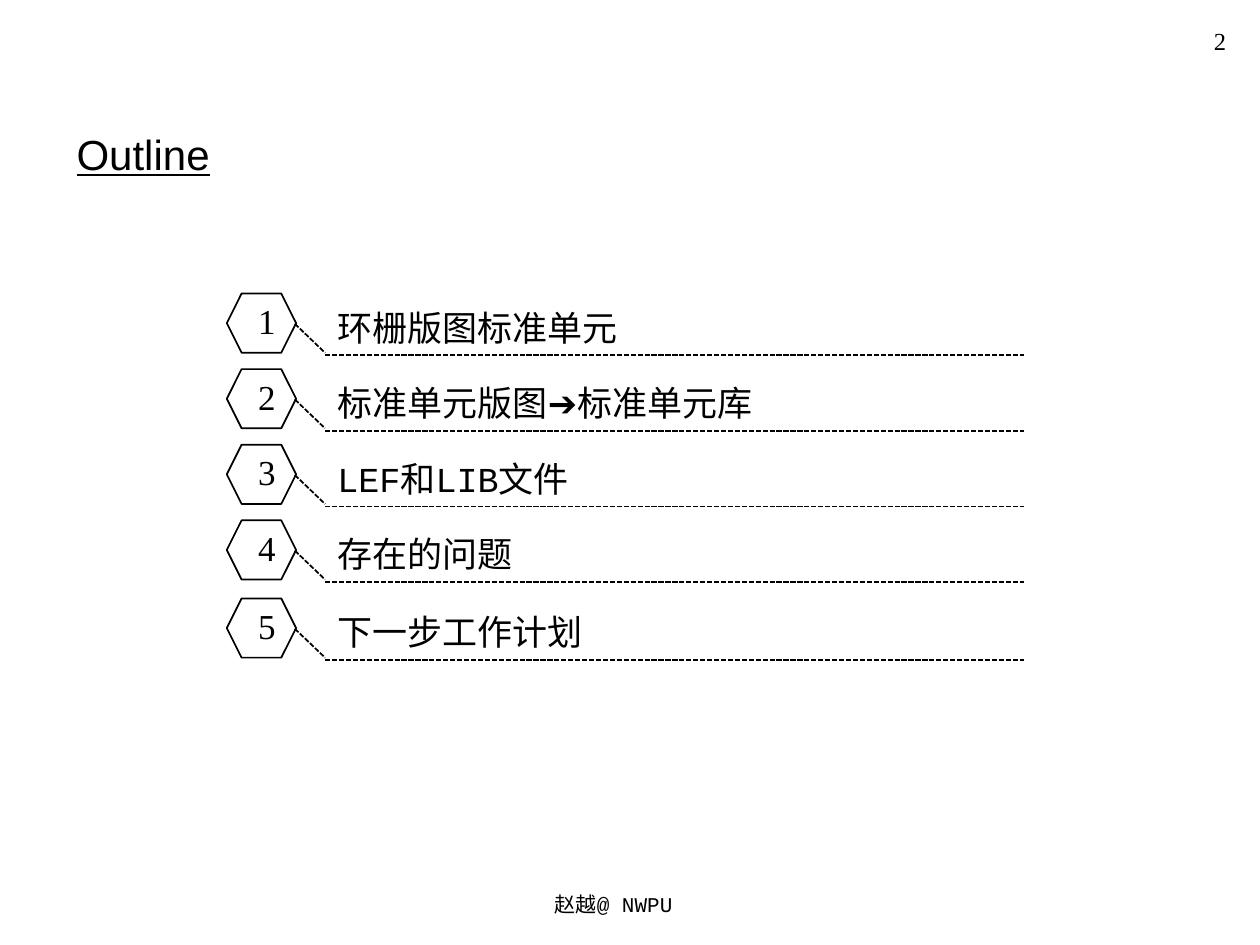
from lxml import etree
from pptx import Presentation
from pptx.dml.color import RGBColor
from pptx.enum.dml import MSO_LINE
from pptx.enum.shapes import MSO_CONNECTOR, MSO_SHAPE
from pptx.enum.text import MSO_ANCHOR, PP_ALIGN
from pptx.oxml.ns import qn
from pptx.util import Inches, Pt

LEFT, CENTER, RIGHT = PP_ALIGN.LEFT, PP_ALIGN.CENTER, PP_ALIGN.RIGHT
TOP, BOTTOM = MSO_ANCHOR.TOP, MSO_ANCHOR.BOTTOM
STRAIGHT, HEXAGON, DASH = MSO_CONNECTOR.STRAIGHT, MSO_SHAPE.HEXAGON, MSO_LINE.SQUARE_DOT

THEME = {
    "ink": RGBColor(0, 0, 0),
    "line": Pt(1),
    "title": {"name": "Arial", "size": Pt(24), "underline": True},
    "page": {"name": "Times New Roman", "size": Pt(14)},
    "footer": {"name": "Courier New", "size": Pt(12)},
    "number": {"name": "Times New Roman", "size": Pt(20)},
    "topic": {"name": "Courier New", "size": Pt(20)},
    "chinese": {"name": "Noto Sans CJK SC", "size": Pt(20)},
    "arrow": {"name": "Arial", "size": Pt(20)},
}

presentation = Presentation()
presentation.slide_width, presentation.slide_height = Inches(10), Inches(7.5)
slide = presentation.slides.add_slide(presentation.slide_layouts[6])


def add_text(box, runs, alignment=LEFT, anchor=TOP):
    shape = slide.shapes.add_textbox(*map(Inches, box))
    frame = shape.text_frame
    frame.word_wrap = True
    frame.vertical_anchor = anchor
    paragraph = frame.paragraphs[0]
    paragraph.alignment = alignment
    for text, style in runs:
        run = paragraph.add_run()
        run.text = text
        for attribute, value in THEME[style].items():
            setattr(run.font, attribute, value)
        run.font.color.rgb = THEME["ink"]
        if style in ("footer", "topic", "chinese"):
            east_asian = etree.SubElement(run.font._element, qn("a:ea"))
            east_asian.set("typeface", THEME["chinese"]["name"])


def add_dashed_line(*ends):
    connector = slide.shapes.add_connector(STRAIGHT, *map(Inches, ends))
    connector.line.color.rgb = THEME["ink"]
    connector.line.width = THEME["line"]
    connector.line.dash_style = DASH
    etree.SubElement(connector._element.spPr, qn("a:effectLst"))


add_text((2.42, 7.03, 5, 0.3), [("赵越@ NWPU ", "footer")], CENTER)
add_text((8.91, 0.16, 0.92, 0.44), [("2", "page")], RIGHT)
add_text((0.51, 0.84, 8.9, 0.63), [("Outline", "title")], LEFT, BOTTOM)

topics = [
    (2.33, [("环栅版图标准单元", "topic")]),
    (2.93, [("标准单元版图", "topic"), ("➔", "arrow"), ("标准单元库", "topic")]),
    (3.53, [("LEF和LIB文件", "topic")]),
    (4.13, [("存在的问题", "chinese")]),
    (4.75, [("下一步工作计划", "chinese")]),
]
rule_left, rule_right = 2.58, 8.13

for number, (top, runs) in enumerate(topics, start=1):
    hexagon = slide.shapes.add_shape(HEXAGON, *map(Inches, (1.8, top, 0.55, 0.47)))
    hexagon.shadow.inherit = False
    hexagon.fill.background()
    hexagon.line.color.rgb = THEME["ink"]
    hexagon.line.width = THEME["line"]
    add_text((1.95, top, 0.23, 0.44), [(str(number), "number")], CENTER)
    add_text((rule_left, top + 0.05, rule_right - rule_left, 0.44), runs)
    add_dashed_line(2.34, top + 0.24, rule_left, top + 0.47)
    add_dashed_line(rule_left, top + 0.49, rule_right, top + 0.49)

presentation.save("out.pptx")
